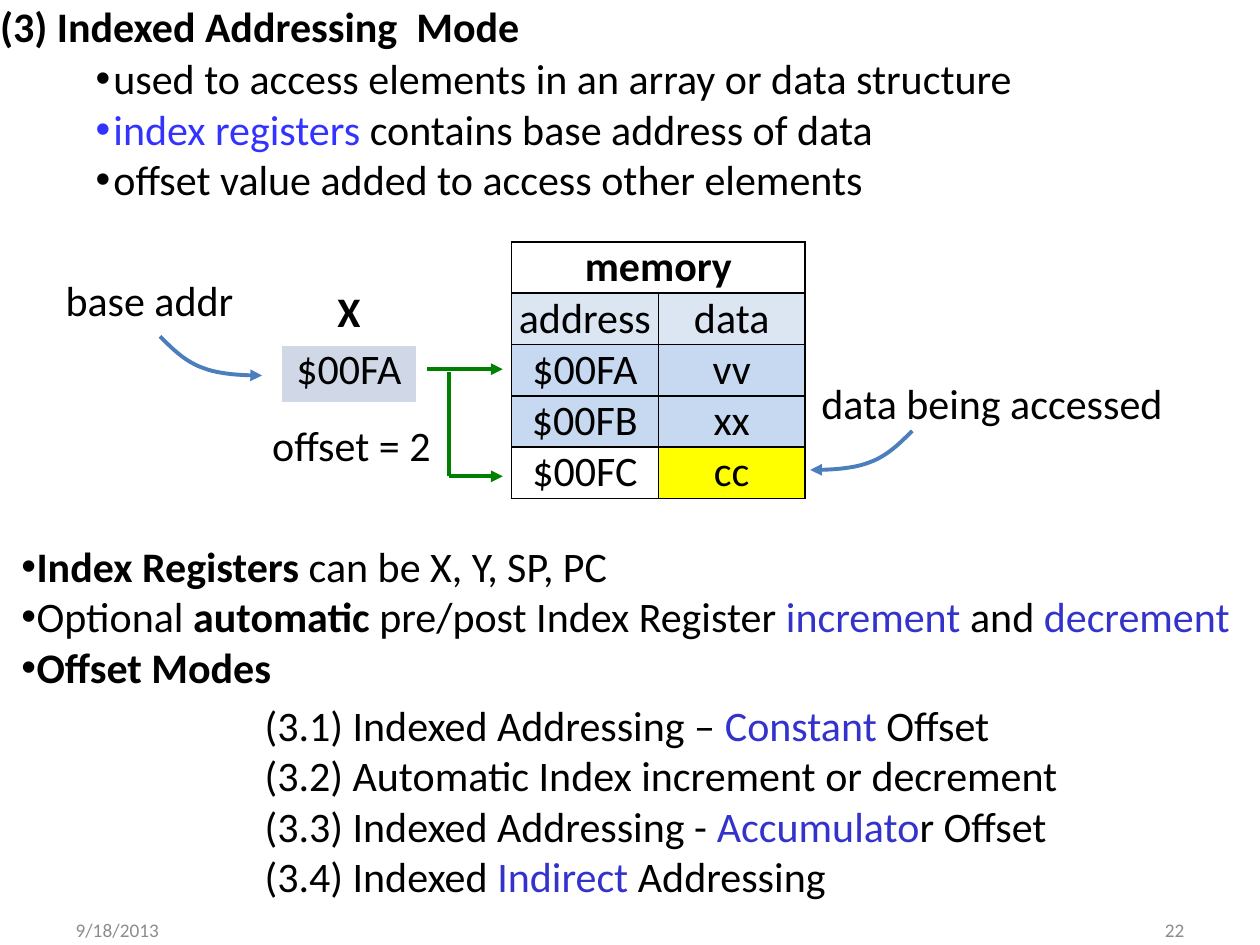
from dataclasses import dataclass

from lxml import etree
from pptx import Presentation
from pptx.dml.color import RGBColor
from pptx.enum import shapes, text
from pptx.oxml import ns
from pptx.util import Inches, Pt


@dataclass(frozen=True)
class Theme:
    font: str = "Calibri"
    size: int = 24
    small: int = 11
    line: float = 2.25
    ink: str = "000000"
    grey: str = "8C8C8C"
    white: str = "FFFFFF"
    blue: str = "3333FF"
    navy: str = "3333CC"
    green: str = "008000"
    curve: str = "4B7EBC"
    head: str = "DCE6F2"
    row: str = "C6D9F1"
    index: str = "D0D8E8"
    hit: str = "FFFF00"


T = Theme()
BOLD = "bold"
ALIGN = text.PP_ALIGN


def rgb(code):
    return RGBColor.from_string(code)


def sub(node, tag, **attrs):
    return etree.SubElement(node, ns.qn(tag), attrs)


def style(par, size=T.size, color=T.ink, bold=False, align=ALIGN.LEFT):
    par.alignment = align
    font = par.font
    font.name, font.size = T.font, Pt(size)
    font.bold = bold
    font.color.rgb = rgb(color)


def write(par, runs):
    """Add runs: plain strings, or (string, BOLD or a colour)."""
    for item in runs:
        words, mark = (item, None) if isinstance(item, str) else item
        run = par.add_run()
        run.text = words
        if mark == BOLD:
            run.font.bold = True
        elif mark:
            run.font.color.rgb = rgb(mark)


def fill_text(shape, box, lines, indent=None, wrap=False, **look):
    """Place a shape and write one paragraph per list of runs."""
    shape.left, shape.top, shape.width, shape.height = map(Inches, box)
    frame = shape.text_frame
    frame.margin_left = frame.margin_right = 0
    frame.margin_top = frame.margin_bottom = 0
    frame.word_wrap = wrap
    frame.auto_size = text.MSO_AUTO_SIZE.NONE
    frame.vertical_anchor = text.MSO_ANCHOR.TOP
    for i, runs in enumerate(lines):
        par = frame.add_paragraph() if i else frame.paragraphs[0]
        par.space_before = Pt(0)
        if indent:
            props = par._p.get_or_add_pPr()
            props.set("marL", str(Inches(indent[0])))
            props.set("indent", str(Inches(indent[1])))
        style(par, **look)
        write(par, runs)
    return frame


def label(slide, box, lines, **look):
    shape = slide.shapes.add_textbox(0, 0, 0, 0)
    return fill_text(shape, box, lines, **look)


def footer(slide, left, words, align):
    frame = label(slide, (left, 7.29, 2.13, 0.18), [[words]],
                  wrap=True, size=T.small, color=T.grey, align=align)
    frame.vertical_anchor = text.MSO_ANCHOR.MIDDLE


def border(cell, color):
    props = cell._tc.get_or_add_tcPr()
    for i, side in enumerate(("a:lnL", "a:lnR", "a:lnT", "a:lnB")):
        edge = etree.Element(ns.qn(side), w=str(Pt(1)))
        sub(sub(edge, "a:solidFill"), "a:srgbClr", val=color)
        props.insert(i, edge)


def grid(slide, box, rows, fills, edge, pad=0):
    """Add a table whose first row is bold and spans every column."""
    count = len(rows[-1])
    table = slide.shapes.add_table(len(rows), count, *map(Inches, box)).table
    table.first_row = table.horz_banding = False
    if count > 1:
        table.cell(0, 0).merge(table.cell(0, count - 1))
    for r, row in enumerate(rows):
        for c in range(count):
            cell = table.cell(r, c)
            cell.margin_left = cell.margin_right = cell.margin_top = 0
            cell.margin_bottom = Inches(pad)
            color = fills.get((r, c))
            if color:
                cell.fill.solid()
                cell.fill.fore_color.rgb = rgb(color)
            else:
                cell.fill.background()
            border(cell, edge)
            par = cell.text_frame.paragraphs[0]
            style(par, bold=r == 0, align=ALIGN.CENTER)
            write(par, row[c:c + 1])


def stroke(shape, color, arrow=True):
    shape.line.color.rgb = rgb(color)
    shape.line.width = Pt(T.line)
    if arrow:
        sub(shape.line._get_or_add_ln(), "a:tailEnd", type="triangle")


def wire(slide, start, end, arrow=True):
    link = slide.shapes.add_connector(
        shapes.MSO_CONNECTOR.STRAIGHT, *map(Inches, start + end))
    stroke(link, T.green, arrow)
    sub(link._element.spPr, "a:effectLst")


def swoop(slide, x, y, way):
    """Draw a curved arrow down from (x, y); way is 1 to the right, -1 left."""
    bends = (((0, 0), (0.1, 0.1), (0.2, 0.2), (0.34, 0.25)),
             ((0.34, 0.25), (0.47, 0.3), (0.64, 0.31), (0.81, 0.31)))
    steps = 12
    points = []
    for bend in bends:
        for i in range(1, steps + 1):
            t = i / steps
            parts = ((1 - t) ** 3, 3 * t * (1 - t) ** 2,
                     3 * t * t * (1 - t), t ** 3)
            dx, dy = (sum(k * p[n] for k, p in zip(parts, bend))
                      for n in (0, 1))
            points.append((Inches(x + way * dx), Inches(y + dy)))
    path = slide.shapes.build_freeform(Inches(x), Inches(y))
    path.add_line_segments(points, close=False)
    shape = path.convert_to_shape()
    shape.shadow.inherit = False
    shape.fill.background()
    stroke(shape, T.curve)


def lists(slide):
    title, uses, modes = slide.placeholders
    fill_text(title, (0, 0, 4.31, 0.4),
              [["(3) Indexed Addressing  Mode"]], bold=True)
    fill_text(uses, (0.58, 0.42, 7.63, 1.21), [
        ["used to access elements in an array or data structure"],
        [("index registers ", T.blue), "contains base address of data"],
        ["offset value added to access other elements"],
    ], indent=(0.32, -0.14))
    fill_text(modes, (0.17, 4.29, 9.83, 1.21), [
        [("Index Registers", BOLD), " can be X, Y, SP, PC"],
        ["Optional ", ("automatic", BOLD), " pre/post Index Register ",
         ("increment", T.navy), " and ", ("decrement", T.navy)],
        [("Offset Modes", BOLD)],
    ], indent=(0.12, -0.12), wrap=True)
    label(slide, (2.1, 5.55, 6.45, 1.62), [
        ["(3.1) Indexed Addressing – ", ("Constant", T.navy), " Offset"],
        ["(3.2) Automatic Index increment or decrement"],
        ["(3.3) Indexed Addressing - ", ("Accumulato", T.navy), "r Offset"],
        ["(3.4) Indexed", (" Indirect", T.navy), " Addressing"],
    ], indent=(0.5, -0.5))


def diagram(slide):
    grid(slide, (2.23, 2.28, 1.08, 0.9), [["X"], ["$00FA"]],
         {(1, 0): T.index}, T.white, pad=0.05)
    fills = {(r, c): T.head if r == 1 else T.row
             for r in (1, 2, 3) for c in (0, 1)}
    fills[4, 1] = T.hit
    grid(slide, (4.06, 1.92, 2.33, 2), [
        ["memory"], ["address", "data"], ["$00FA", "vv"],
        ["$00FB", "xx"], ["$00FC", "cc"]], fills, T.ink)
    label(slide, (0.52, 2.18, 1.42, 0.4), [["base addr"]])
    label(slide, (2.16, 3.33, 1.28, 0.4), [["offset = 2"]])
    label(slide, (6.52, 3, 2.73, 0.4), [["data being accessed"]])
    wire(slide, (3.39, 2.93), (3.99, 2.93))
    wire(slide, (3.56, 3.78), (3.99, 3.78))
    wire(slide, (3.56, 3.78), (3.56, 2.95), arrow=False)
    swoop(slide, 1.27, 2.67, 1)
    swoop(slide, 7.24, 3.42, -1)


def main():
    deck = Presentation()
    deck.slide_width, deck.slide_height = Inches(10), Inches(7.5)
    slide = deck.slides.add_slide(deck.slide_layouts.get_by_name("Two Content"))
    lists(slide)
    diagram(slide)
    footer(slide, 0.6, "9/18/2013", ALIGN.LEFT)
    footer(slide, 7.27, "22", ALIGN.RIGHT)
    deck.save("out.pptx")


if __name__ == "__main__":
    main()
